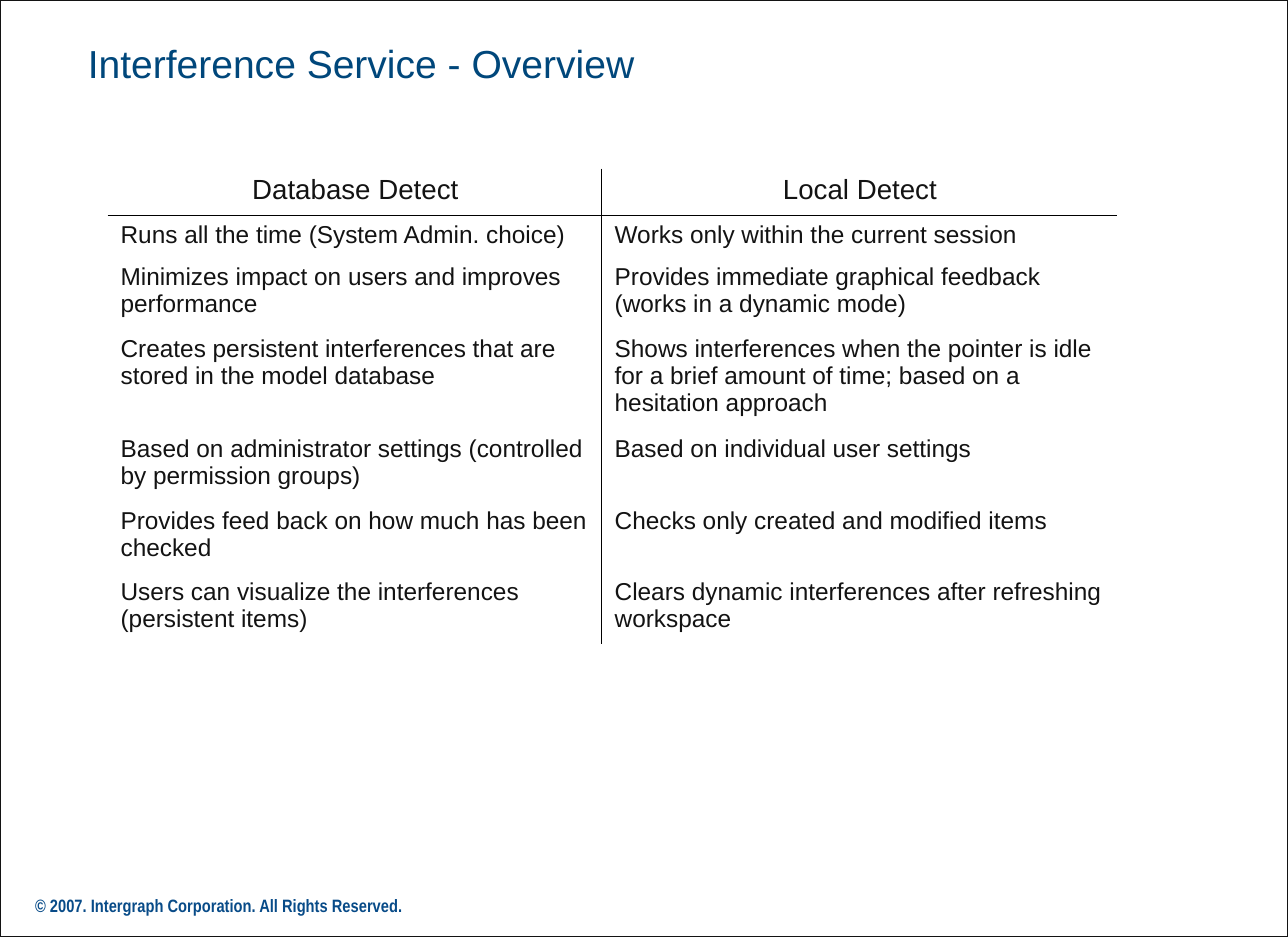
from pptx import Presentation
from pptx.dml.color import RGBColor
from pptx.enum.shapes import MSO_SHAPE as Shape
from pptx.enum.text import MSO_ANCHOR as Anchor, PP_ALIGN as Align
from pptx.oxml import parse_xml
from pptx.oxml.ns import nsdecls
from pptx.util import Inches, Pt

INK = RGBColor(0x13, 0x13, 0x13)
NAVY = RGBColor(0x00, 0x47, 0x7B)
BLUE = RGBColor(0x08, 0x4B, 0x88)
WHITE = RGBColor(0xFF, 0xFF, 0xFF)
MIST = RGBColor(0xCE, 0xD8, 0xD9)

COLS = (4.22, 4.4)
ROWS = (0.4, 0.36, 0.61, 0.86, 0.61, 0.61, 0.61)
CELLS = (
    ("Database Detect", "Local Detect"),
    ("Runs all the time (System Admin. choice)",
     "Works only within the current session"),
    ("Minimizes impact on users and improves performance",
     "Provides immediate graphical feedback (works in a dynamic mode)"),
    ("Creates persistent interferences that are stored in the model database",
     "Shows interferences when the pointer is idle for a brief amount of time; "
     "based on a hesitation approach"),
    ("Based on administrator settings (controlled by permission groups)",
     "Based on individual user settings"),
    ("Provides feed back on how much has been checked",
     "Checks only created and modified items"),
    ("Users can visualize the interferences (persistent items)",
     "Clears dynamic interferences after refreshing workspace"),
)


def style(frame, size, color, face="Arial", bold=False):
    for run in frame.paragraphs[0].runs:
        font = run.font
        font.name, font.size, font.bold = face, Pt(size), bold
        font.color.rgb = color


def add_label(slide, box, text, anchor, *look):
    frame = slide.shapes.add_textbox(*map(Inches, box)).text_frame
    frame.word_wrap = True
    frame.vertical_anchor = anchor
    frame.margin_left = frame.margin_right = Inches(0.11)
    frame.text = text
    style(frame, *look)


def add_frame(slide, width, height):
    rect = slide.shapes.add_shape(Shape.RECTANGLE, 0, 0, width, height)
    rect.shadow.inherit = False
    rect.fill.solid()
    rect.fill.fore_color.rgb = WHITE
    rect.line.color.rgb = INK
    rect.line.width = Pt(0.75)


def set_edges(cell, shown):
    cell.fill.background()
    props = cell._tc.get_or_add_tcPr()
    for spot, side in enumerate("LRTB"):
        paint = ('<a:solidFill><a:srgbClr val="000000"/></a:solidFill>'
                 if side in shown else "<a:noFill/>")
        props.insert(spot, parse_xml(
            f'<a:ln{side} {nsdecls("a")} w="{Pt(0.45)}">{paint}</a:ln{side}>'))


def add_grid(slide, left, top):
    table = slide.shapes.add_table(
        len(ROWS), len(COLS), Inches(left), Inches(top),
        Inches(sum(COLS)), Inches(sum(ROWS))).table
    table.first_row = table.horz_banding = False
    for col, width in zip(table.columns, COLS):
        col.width = Inches(width)
    for r, (row, height) in enumerate(zip(table.rows, ROWS)):
        row.height = Inches(height)
        for c, cell in enumerate(row.cells):
            cell.margin_left, cell.margin_right = Inches(0.11), Inches(0.1)
            cell.text = CELLS[r][c]
            para = cell.text_frame.paragraphs[0]
            para.space_after = Pt(6.5)
            para.alignment = Align.LEFT if r else Align.CENTER
            style(cell.text_frame, 15 if r else 17, INK)
            set_edges(cell, "RL"[c] + {0: "B", 1: "T"}.get(r, ""))


def main():
    deck = Presentation()
    deck.slide_width, deck.slide_height = Inches(11), Inches(8)
    slide = deck.slides.add_slide(deck.slide_layouts[6])
    slide.background.fill.solid()
    slide.background.fill.fore_color.rgb = MIST
    add_frame(slide, deck.slide_width, deck.slide_height)
    add_label(slide, (0.19, 7.59, 5.77, 0.36),
              "© 2007. Intergraph Corporation. All Rights Reserved.",
              Anchor.TOP, 11, BLUE, "Arial Narrow", True)
    add_grid(slide, 0.92, 1.44)
    add_label(slide, (0.64, 0.14, 6.67, 0.79),
              "Interference Service - Overview", Anchor.MIDDLE, 24, NAVY)
    deck.save("out.pptx")


if __name__ == "__main__":
    main()
